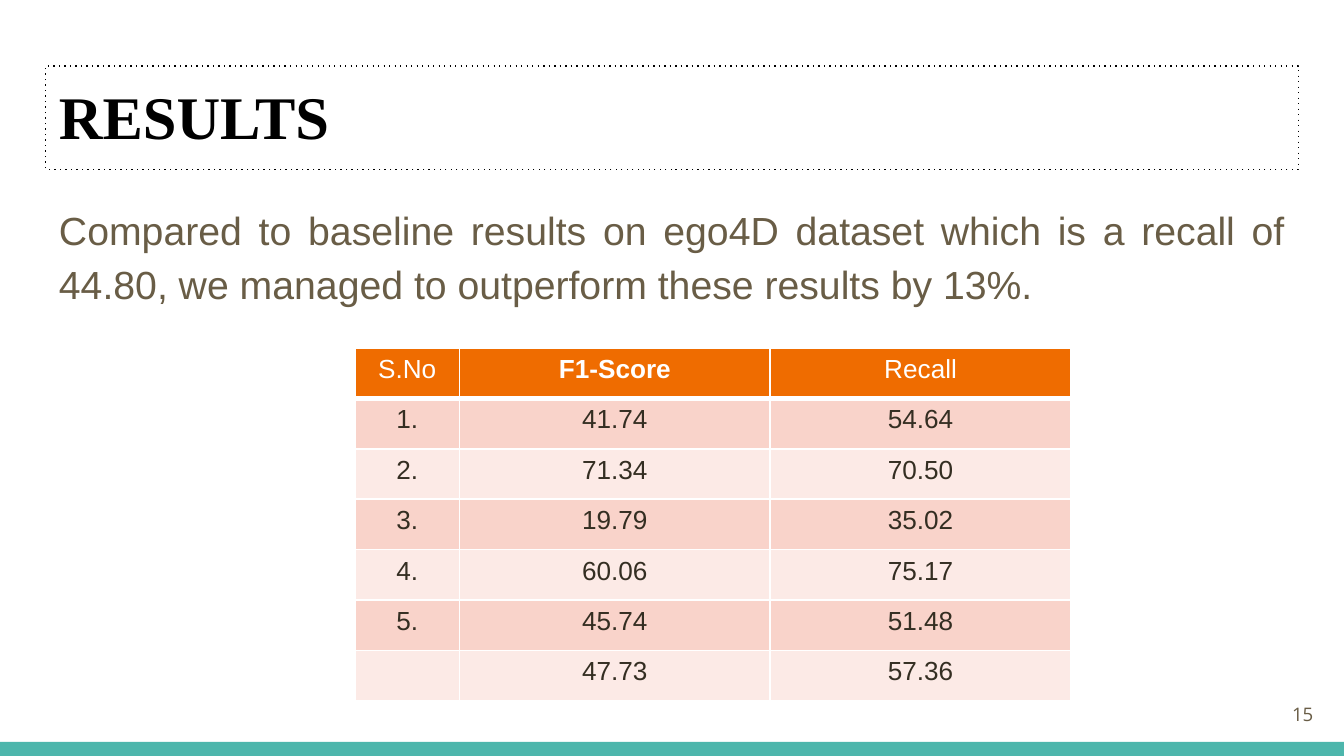
import pptx
import pptx.dml.color
import pptx.enum.dml
import pptx.enum.shapes
import pptx.enum.text
import pptx.oxml
import pptx.oxml.ns
import pptx.util

Inches = pptx.util.Inches
Pt = pptx.util.Pt
ALIGN = pptx.enum.text.PP_ALIGN
ANCHOR = pptx.enum.text.MSO_ANCHOR

# Content
TITLE = "RESULTS"
SUMMARY = ("Compared to baseline results on ego4D dataset which is a recall of "
           "44.80, we managed to outperform these results by 13%.")
PAGE_NUMBER = "15"
HEADER = ["S.No", "F1-Score", "Recall"]
BOLD_HEADING = "F1-Score"
SCORES = [
    ["1.", "41.74", "54.64"],
    ["2.", "71.34", "70.50"],
    ["3.", "19.79", "35.02"],
    ["4.", "60.06", "75.17"],
    ["5.", "45.74", "51.48"],
    ["", "47.73", "57.36"],
]

# Layout and colours
SLIDE_WIDTH, SLIDE_HEIGHT = Inches(10), Inches(45 / 8)  # 16:9
COLUMN_WIDTHS = [0.78, 2.31, 2.24]
ROW_HEIGHT = 3 / 8
BROWN, TEAL, ORANGE, DARK = "695D46", "4DB6AC", "EF6C00", "342E22"
BANDS = ["F9D3CA", "FCEAE6"]


def color(value):
    return pptx.dml.color.RGBColor.from_string(value)


def write(frame, text, size, ink, font="Arial", bold=False,
          align=ALIGN.LEFT, spacing=None):
    para = frame.paragraphs[0]
    para.alignment = align
    if spacing:
        para.line_spacing = spacing
    if not text:
        # An empty cell keeps the text size, so its row does not grow
        end = pptx.oxml.parse_xml(
            f'<a:endParaRPr {pptx.oxml.ns.nsdecls("a")} sz="{size * 100}"/>')
        para._p.append(end)
        return
    span = para.add_run()
    span.text = text
    span.font.name = font
    span.font.size = Pt(size)
    span.font.bold = bold
    span.font.color.rgb = color(ink)


def add_text(page, area, text, anchor=ANCHOR.TOP, **style):
    box = page.shapes.add_textbox(*map(Inches, area))
    frame = box.text_frame
    frame.word_wrap = True
    frame.vertical_anchor = anchor
    frame.margin_left = frame.margin_right = Inches(0.1)
    frame.margin_top = frame.margin_bottom = Inches(0.1)
    write(frame, text, **style)
    return box


def set_borders(cell, **widths):
    properties = cell._tc.get_or_add_tcPr()
    for side in "LRTB":
        width = Pt(widths.get(side, 1))
        properties.append(pptx.oxml.parse_xml(
            f'<a:ln{side} {pptx.oxml.ns.nsdecls("a")} w="{width}"><a:solidFill>'
            f'<a:srgbClr val="FFFFFF"/></a:solidFill></a:ln{side}>'))


def add_scores(page, left, top):
    rows = [HEADER] + SCORES
    table = page.shapes.add_table(
        len(rows), len(HEADER), Inches(left), Inches(top),
        Inches(sum(COLUMN_WIDTHS)), Inches(ROW_HEIGHT * len(rows))).table
    for column, width in zip(table.columns, COLUMN_WIDTHS):
        column.width = Inches(width)
    for r, values in enumerate(rows):
        table.rows[r].height = Inches(ROW_HEIGHT)
        for c, value in enumerate(values):
            cell = table.cell(r, c)
            # The rule under the header is heavier than the grid
            set_borders(cell, T=3 if r == 1 else 1, B=3 if r == 0 else 1)
            cell.fill.solid()
            cell.fill.fore_color.rgb = color(BANDS[(r - 1) % 2] if r else ORANGE)
            write(cell.text_frame, value, size=14, ink=DARK if r else "FFFFFF",
                  bold=value == BOLD_HEADING, align=ALIGN.CENTER)


def main():
    deck = pptx.Presentation()
    deck.slide_width, deck.slide_height = SLIDE_WIDTH, SLIDE_HEIGHT
    page = deck.slides.add_slide(deck.slide_layouts[6])

    # Bottom bar
    bar = page.shapes.add_shape(pptx.enum.shapes.MSO_SHAPE.RECTANGLE,
                                *map(Inches, (0, 5.52, 10, 0.11)))
    bar.shadow.inherit = False
    bar.fill.solid()
    bar.fill.fore_color.rgb = color(TEAL)
    bar.line.fill.background()

    # Title in a dotted frame
    title = add_text(page, (0.34, 0.49, 9.32, 0.77), TITLE,
                     size=32.4, ink="000000", font="Times New Roman", bold=True)
    title.line.color.rgb = color("000000")
    title.line.width = Pt(0.75)
    title.line.dash_style = pptx.enum.dml.MSO_LINE.ROUND_DOT
    dash = title.element.spPr.find(".//" + pptx.oxml.ns.qn("a:prstDash"))
    dash.set("val", "dot")

    # Summary, page number and score table
    add_text(page, (0.34, 1.38, 9.32, 3.61), SUMMARY, size=21, ink=BROWN,
             align=ALIGN.JUSTIFY, spacing=1.15)
    add_text(page, (9.27, 5.1, 0.6, 0.43), PAGE_NUMBER, anchor=ANCHOR.MIDDLE,
             size=10, ink=BROWN, font="Open Sans", align=ALIGN.RIGHT)
    add_scores(page, 2.64, 2.59)

    deck.save("out.pptx")


if __name__ == "__main__":
    main()
